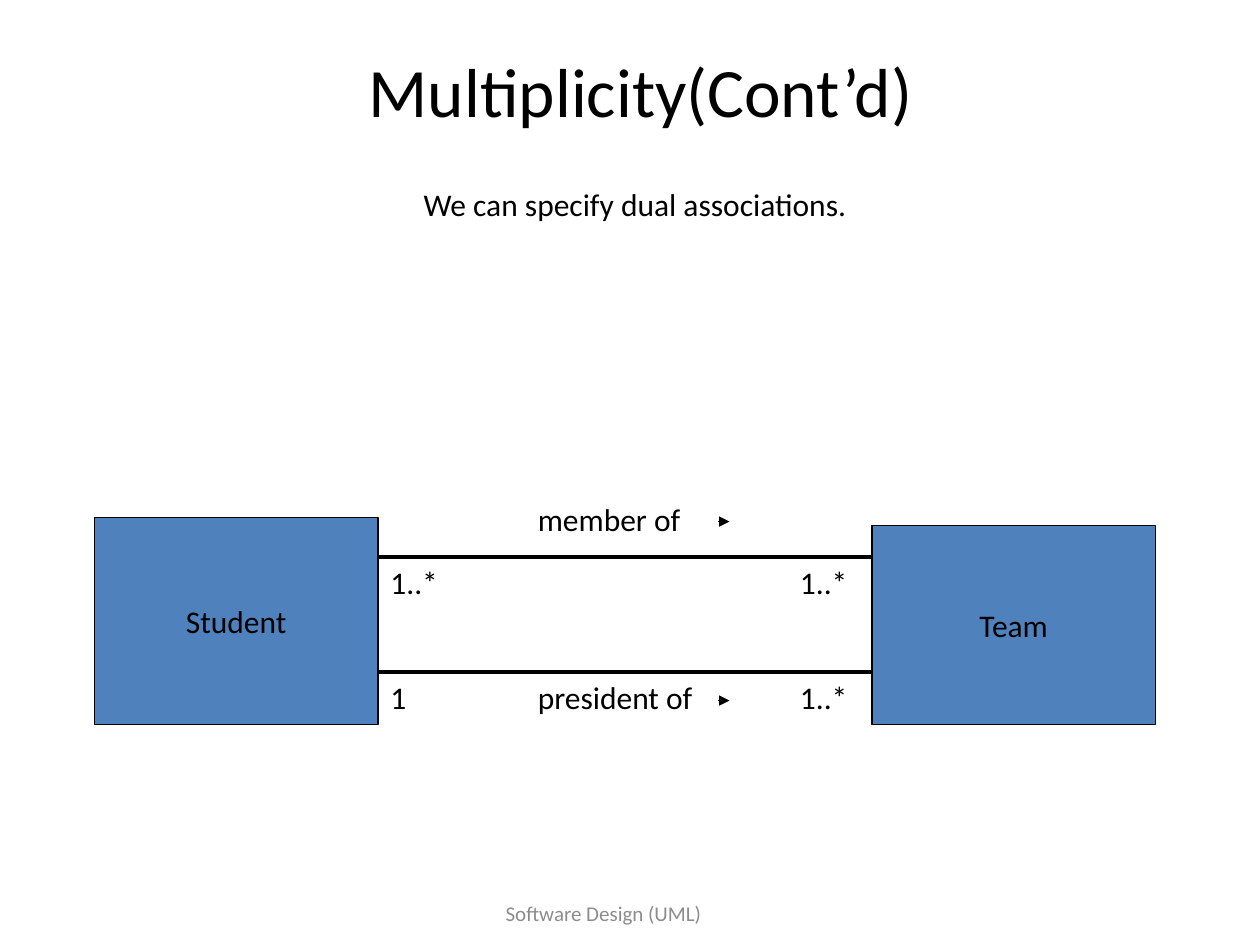
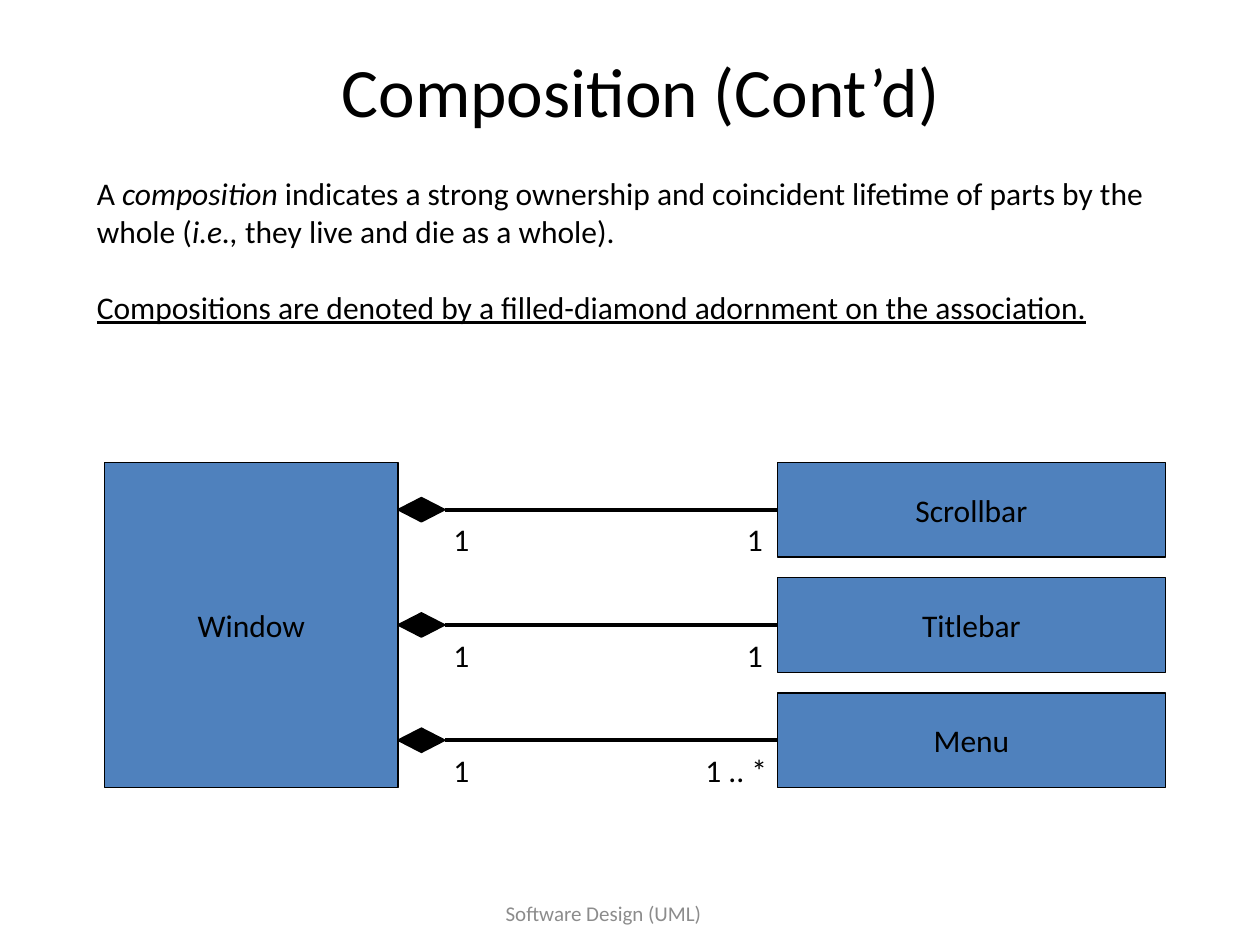
"""Build two UML slides: dual associations and composition."""
from dataclasses import dataclass

from lxml import etree
from pptx import Presentation
from pptx import util as u
from pptx.dml.color import RGBColor
from pptx.enum import shapes, text
from pptx.oxml import ns

COLORS = {"box": "4F81BD", "ink": "000000", "footer": "8C8C8C"}
FONT = "Calibri"
FOOTER = "Software Design (UML)"
DIAMOND_WIDTH, DIAMOND_HEIGHT = 0.37, 0.19


@dataclass(frozen=True)
class Item:
    label: str
    left: float
    top: float
    width: float
    height: float

    @property
    def right(self) -> float:
        return self.left + self.width

    @property
    def place(self) -> tuple:
        return tuple(u.Inches(v) for v in (self.left, self.top, self.width, self.height))


@dataclass(frozen=True)
class Association:
    y: float
    name: Item
    near: Item
    far: Item
    arrow_y: float


@dataclass(frozen=True)
class Part:
    name: str
    multiplicity: Item


def rgb(key: str) -> RGBColor:
    return RGBColor.from_string(COLORS[key])


def style(p, size: float = 18, color: str = "ink", align=None) -> None:
    p.font.name = FONT
    p.font.size = u.Pt(size)
    p.font.color.rgb = rgb(color)
    if align is not None:
        p.alignment = align


def add_text(s, item: Item, size: float = 18, color: str = "ink", align=None,
             anchor=text.MSO_ANCHOR.TOP):
    tf = s.shapes.add_textbox(*item.place).text_frame
    tf.word_wrap = True
    tf.vertical_anchor = anchor
    tf.text = item.label
    style(tf.paragraphs[0], size, color, align)
    return tf


def add_shape(s, item: Item, kind, fill: str, width: float):
    sp = s.shapes.add_shape(kind, *item.place)
    sp.shadow.inherit = False
    sp.fill.solid()
    sp.fill.fore_color.rgb = rgb(fill)
    sp.line.color.rgb = rgb("ink")
    sp.line.width = u.Pt(width)
    return sp


def add_box(s, item: Item):
    sp = add_shape(s, item, shapes.MSO_SHAPE.RECTANGLE, "box", 0.75)
    tf = sp.text_frame
    tf.word_wrap = False
    tf.vertical_anchor = text.MSO_ANCHOR.MIDDLE
    tf.text = item.label
    style(tf.paragraphs[0], align=text.PP_ALIGN.CENTER)
    return sp


def add_line(s, left: float, right: float, y: float, width: float = 2.25,
             arrow: bool = False):
    line = s.shapes.add_connector(
        shapes.MSO_CONNECTOR.STRAIGHT,
        u.Inches(left), u.Inches(y), u.Inches(right), u.Inches(y))
    line.line.color.rgb = rgb("ink")
    line.line.width = u.Pt(width)
    props = line.element.spPr
    if arrow:
        etree.SubElement(props.find(ns.qn("a:ln")), ns.qn("a:tailEnd"), type="triangle")
    etree.SubElement(props, ns.qn("a:effectLst"))
    return line


def add_slide(prs, title: str):
    s = prs.slides.add_slide(prs.slide_layouts[5])
    sp = s.shapes.title
    sp.left, sp.top, sp.width, sp.height = Item(title, 0.67, 0.42, 8.83, 0.58).place
    tf = sp.text_frame
    tf.auto_size = text.MSO_AUTO_SIZE.NONE
    tf.vertical_anchor = text.MSO_ANCHOR.MIDDLE
    tf.text = title
    style(tf.paragraphs[0], 39.6, align=text.PP_ALIGN.CENTER)
    add_text(s, Item(FOOTER, 2.58, 7, 4.42, 0.5), 12, "footer",
             text.PP_ALIGN.CENTER, text.MSO_ANCHOR.MIDDLE)
    return s


def multiplicity_slide(prs) -> None:
    s = add_slide(prs, "Multiplicity(Cont’d)")
    add_text(s, Item("We can specify dual associations.", 0.75, 1.42, 8.58, 0.5),
             align=text.PP_ALIGN.CENTER)
    student = Item("Student", 0.75, 4.11, 2.25, 1.64)
    team = Item("Team", 6.92, 4.17, 2.25, 1.58)
    for box in (student, team):
        add_box(s, box)

    member_y, president_y = 4.42, 5.33
    associations = (
        Association(member_y,
                    Item("member of", 4.17, member_y - 0.5, 1.92, 0.5),
                    Item("1..*", student.right, member_y, 0.75, 0.5),
                    Item("1..*", 6.25, member_y, 0.75, 0.5), 4.14),
        Association(president_y,
                    Item("president of", 4.17, president_y, 1.92, 0.5),
                    Item("1", student.right, president_y, 0.42, 0.4),
                    Item("1..*", 6.25, president_y, 0.75, 0.5), 5.56),
    )
    for a in associations:
        add_line(s, student.right, team.left, a.y)
        for label in (a.name, a.near, a.far):
            add_text(s, label)
        add_line(s, 5.7, 5.79, a.arrow_y, 0.75, arrow=True)


def composition_slide(prs) -> None:
    s = add_slide(prs, "Composition (Cont’d)")
    tf = add_text(s, Item("", 0.67, 1.33, 8.58, 1.31))
    p = tf.paragraphs[0]
    for words, italic in (
            ("A ", False),
            ("composition ", True),
            ("indicates a strong ownership and coincident lifetime of parts "
             "by the whole (", False),
            ("i.e.,", True),
            (" they live and die as a whole).", False)):
        r = p.add_run()
        r.text = words
        r.font.italic = italic
    p = tf.add_paragraph()
    p.text = "Compositions are denoted by a filled-diamond adornment on the association."
    p.space_before = u.Pt(22)
    style(p)
    p.font.underline = True

    window = Item("Window", 0.83, 3.67, 2.33, 2.58)
    add_box(s, window)
    part_height = 0.75
    parts = (Part("Scrollbar", Item("1", 5.83, 0, 0.33, 0.4)),
             Part("Titlebar", Item("1", 5.83, 0, 0.33, 0.4)),
             Part("Menu", Item("1 .. *", 5.5, 0, 0.83, 0.4)))
    pitch = (window.height - part_height) / (len(parts) - 1)
    for i, part in enumerate(parts):
        top = window.top + i * pitch
        middle = top + part_height / 2
        box = Item(part.name, 6.17, top, 3.08, part_height)
        diamond = Item("", window.right, middle - DIAMOND_HEIGHT / 2,
                       DIAMOND_WIDTH, DIAMOND_HEIGHT)
        box_sp = add_box(s, box)
        diamond_sp = add_shape(s, diamond, shapes.MSO_SHAPE.DIAMOND, "ink", 1)
        line = add_line(s, diamond.right, box.left, middle)
        line.begin_connect(diamond_sp, 3)
        line.end_connect(box_sp, 1)
        far = part.multiplicity
        label_top = top + 0.41
        add_text(s, Item("1", 3.5, label_top, 0.33, 0.4))
        add_text(s, Item(far.label, far.left, label_top, far.width, far.height))


def main() -> None:
    prs = Presentation()
    prs.slide_width, prs.slide_height = u.Inches(10), u.Inches(7.5)
    multiplicity_slide(prs)
    composition_slide(prs)
    prs.save("out.pptx")


if __name__ == "__main__":
    main()
